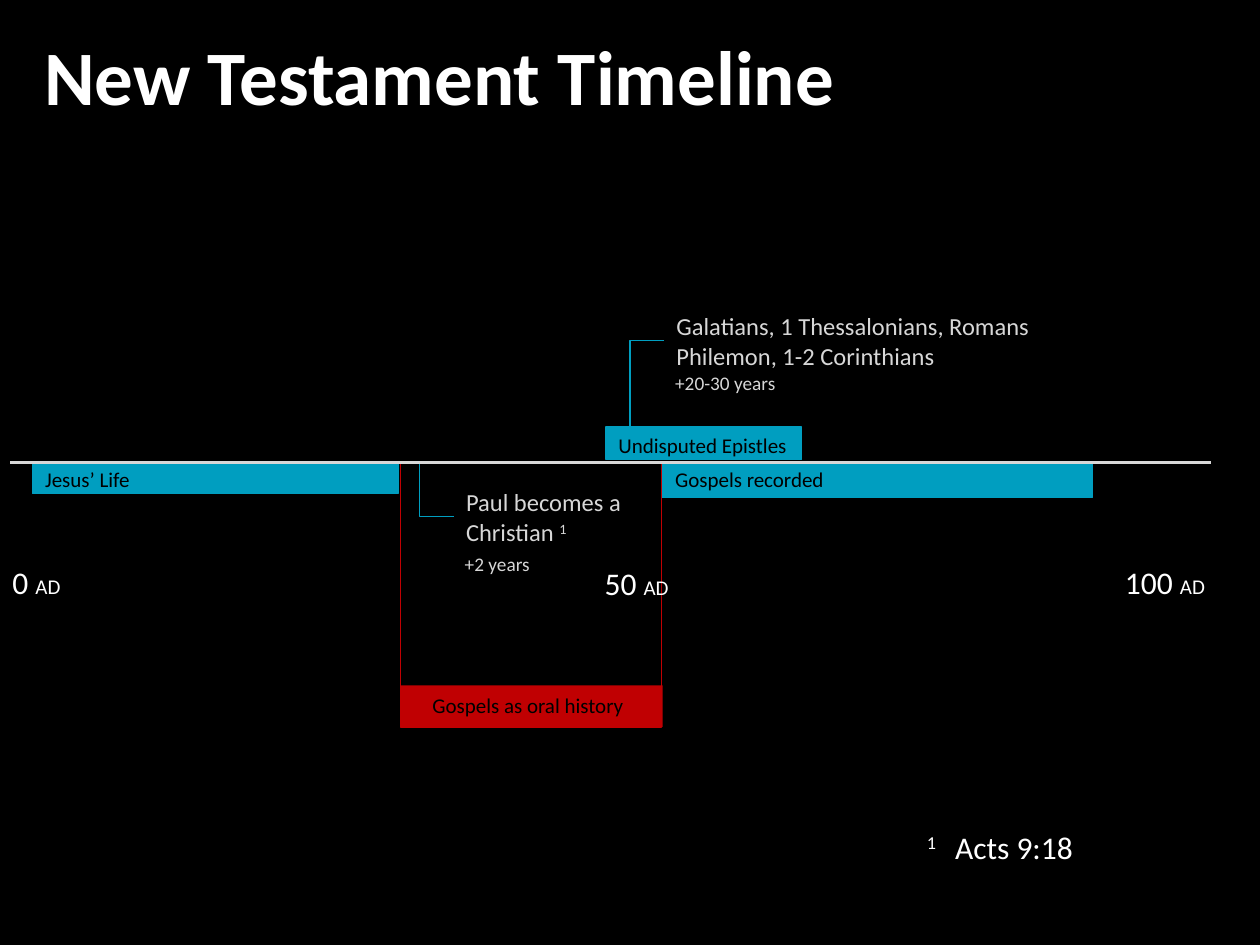
from lxml.etree import SubElement
from pptx import Presentation
from pptx.dml.color import RGBColor
from pptx.enum.shapes import MSO_CONNECTOR, MSO_SHAPE
from pptx.enum.text import MSO_ANCHOR, MSO_AUTO_SIZE, PP_ALIGN
from pptx.oxml.ns import qn
from pptx.util import Inches, Pt

BLUE, RED, GREY = "009EC0", "C00002", "D7D7D7"
BLACK, WHITE = "000000", "FFFFFF"
PLAIN = "{2D5ABB26-0587-4C30-8999-92F81FD0307C}"


def hue(code):
    """Turn a hex string into a colour."""
    return RGBColor.from_string(code)


class Board:
    """Style and current slide, on a grid of 100 columns by 75 rows."""

    font = "Calibri"

    def __init__(self, deck):
        """Size the deck and open a black slide with a title."""
        deck.slide_width, deck.slide_height = Inches(10), Inches(7.5)
        self.unit = deck.slide_width / 100
        self.slide = deck.slides.add_slide(deck.slide_layouts[5])
        self.shapes = self.slide.shapes
        back = self.slide.background.fill
        back.solid()
        back.fore_color.rgb = hue(BLACK)

    def grid(self, *cells):
        """Turn grid steps into lengths."""
        return [round(cell * self.unit) for cell in cells]

    def style(self, par, size, color, align=PP_ALIGN.LEFT, bold=False):
        """Format one paragraph."""
        par.alignment = align
        font = par.font
        font.name, font.size, font.bold = self.font, Pt(size), bold
        font.color.rgb = hue(color)

    def title(self, box, words):
        """Place and fill the title."""
        head = self.shapes.title
        head.left, head.top, head.width, head.height = self.grid(*box)
        head.text_frame.text = words
        head.text_frame.vertical_anchor = MSO_ANCHOR.MIDDLE
        self.style(head.text_frame.paragraphs[0], 44, WHITE, bold=True)

    def text(self, box, words, size, color, wrap=True, align=PP_ALIGN.LEFT):
        """Add a text box and return its last paragraph."""
        frame = self.shapes.add_textbox(*self.grid(*box)).text_frame
        frame.word_wrap = wrap
        frame.auto_size = MSO_AUTO_SIZE.SHAPE_TO_FIT_TEXT
        frame.text = words
        for par in frame.paragraphs:
            self.style(par, size, color, align)
        return par

    def tail(self, par, words, size):
        """Add a run of another size."""
        run = par.add_run()
        run.text, run.font.size = words, Pt(size)

    def mark(self, par, words):
        """Add a raised run."""
        run = par.add_run()
        run.text = words
        run.font._element.set("baseline", "30000")

    def bar(self, box, fill=None, edge=None, width=0.75):
        """Add a rectangle with an optional fill and edge."""
        rect = self.shapes.add_shape(MSO_SHAPE.RECTANGLE, *self.grid(*box))
        rect.shadow.inherit = False
        for paint, code in ((rect.fill, fill), (rect.line.fill, edge)):
            if code:
                paint.solid()
                paint.fore_color.rgb = hue(code)
            else:
                paint.background()
        if edge:
            rect.line.width = Pt(width)

    def line(self, ends, color, width, bent=False):
        """Add a straight line or a one-corner elbow."""
        kind = MSO_CONNECTOR.ELBOW if bent else MSO_CONNECTOR.STRAIGHT
        link = self.shapes.add_connector(kind, *self.grid(*ends))
        link.line.color.rgb, link.line.width = hue(color), Pt(width)
        props = link._element.spPr
        if bent:
            props.find(qn("a:prstGeom")).set("prst", "bentConnector2")
        SubElement(props, qn("a:effectLst"))

    def notes(self, box, cols, rows):
        """Add a plain table of numbered footnotes."""
        table = self.shapes.add_table(len(rows), 2, *self.grid(*box)).table
        table.first_row = table.horz_banding = False
        table._tbl.tblPr.find(qn("a:tableStyleId")).text = PLAIN
        for col, wide in zip(table.columns, self.grid(*cols)):
            col.width = wide
        for row, (num, words) in zip(table.rows, rows):
            key, body = row.cells
            key.margin_left, key.margin_right = self.grid(0, 0.5)
            self.mark(key.text_frame.paragraphs[0], num)
            body.text = words
            for cell, align in ((key, PP_ALIGN.RIGHT), (body, PP_ALIGN.LEFT)):
                cell.fill.background()
                self.style(cell.text_frame.paragraphs[0], 18, WHITE, align)


def main():
    """Build the timeline slide."""
    deck = Presentation()
    board = Board(deck)
    board.title((2.5, 1.7, 94.2, 8.4), "New Testament Timeline")

    for bar, spot, words in (
        ((52.5, 36.8, 34.2, 2.7), (52.6, 36.5, 18.6, 3), "Gospels recorded"),
        ((2.6, 36.8, 29, 2.4), (2.6, 36.5, 23.5, 3), "Jesus’ Life"),
        ((48.1, 33.9, 15.5, 2.6), (48.1, 33.8, 17.5, 3), "Undisputed Epistles"),
    ):
        board.bar(bar, BLUE, BLUE)
        board.text(spot, words, 12, BLACK)

    paul = board.text((36, 38.2, 14.8, 5.7), "Paul becomes a Christian ", 14, GREY)
    board.mark(paul, "1")
    board.text((52.7, 24.2, 37.6, 5.7),
               "Galatians, 1 Thessalonians, Romans\nPhilemon, 1-2 Corinthians",
               14, GREY)
    for box, words in (((35.9, 43.3, 7.3, 2.9), "+2 years"),
                       ((52.6, 29, 10.1, 2.9), "+20-30 years")):
        board.text(box, words, 11, GREY, wrap=False)
    for ends in ((36, 41, 33.3, 36.8), (52.7, 27, 50, 34.5)):
        board.line(ends, BLUE, 0.75, bent=True)

    board.bar((31.8, 54.4, 20.8, 3.3), RED)
    board.bar((31.8, 36.7, 20.7, 21), edge=RED, width=1)
    board.text((31.5, 54.5, 20.8, 3), "Gospels as oral history", 12, BLACK,
               align=PP_ALIGN.CENTER)

    for left, top, wide, year in ((0, 44.2, 5.9, 0), (88.3, 44.2, 8.4, 100),
                                  (47, 44.3, 7.2, 50)):
        date = board.text((left, top, wide, 4), f"{year} ", 18, WHITE, wrap=False)
        board.tail(date, "AD", 12)
    board.line((0.8, 36.7, 96.1, 36.7), GREY, 2)

    board.notes((72.5, 65.3, 25.8, 4.1), (2.3, 23.5), [("1", "Acts 9:18")])
    deck.save("out.pptx")


if __name__ == "__main__":
    main()
